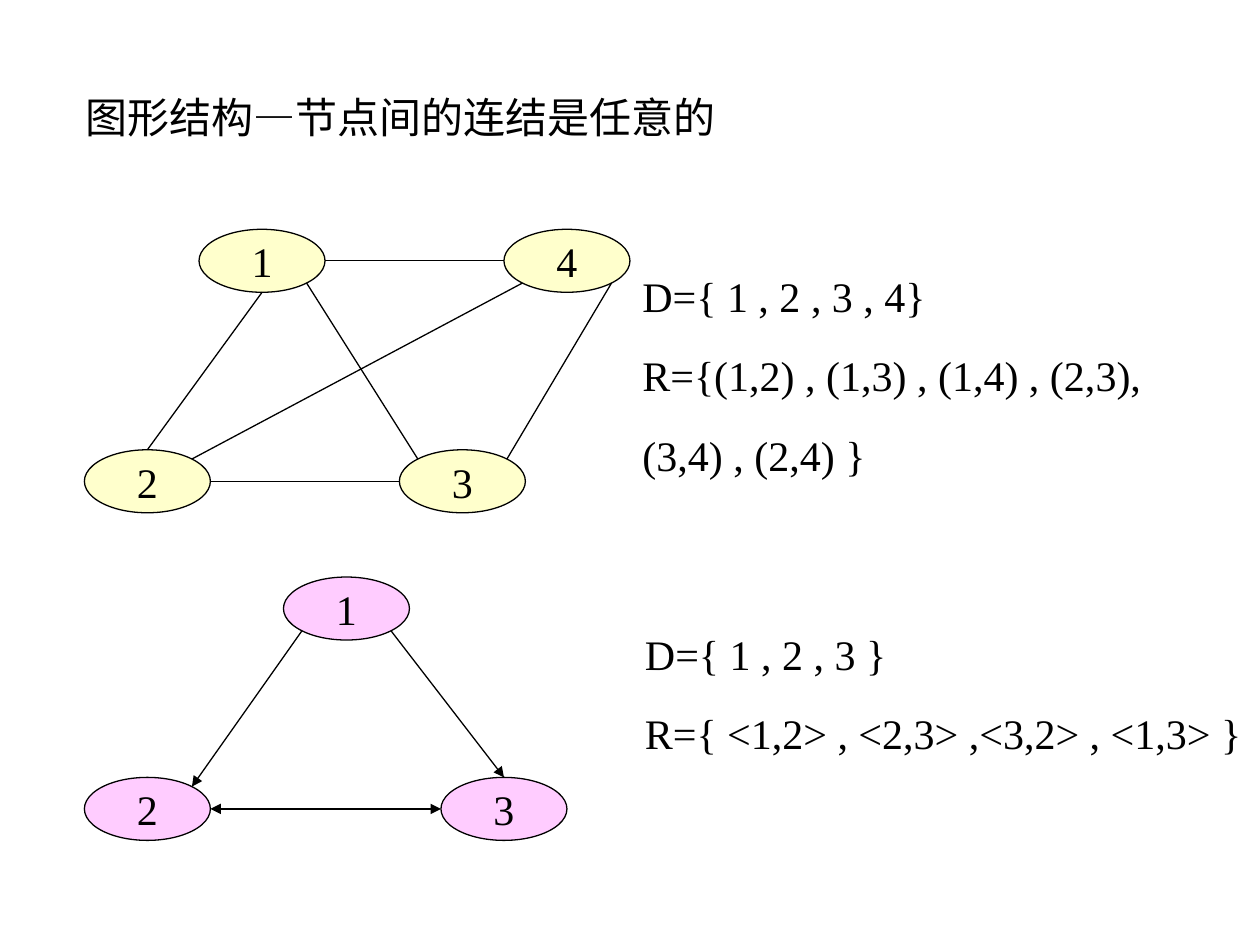
from dataclasses import dataclass
from math import sqrt

from lxml import etree
from pptx import Presentation
from pptx.dml.color import RGBColor
from pptx.enum.shapes import MSO_CONNECTOR, MSO_SHAPE
from pptx.enum.text import MSO_ANCHOR, PP_ALIGN
from pptx.oxml.ns import qn
from pptx.util import Inches, Pt


@dataclass(frozen=True)
class Theme:
    ink: RGBColor = RGBColor(0x00, 0x00, 0x00)
    undirected: RGBColor = RGBColor(0xFF, 0xFF, 0xCC)
    directed: RGBColor = RGBColor(0xFF, 0xCC, 0xFF)
    size: Pt = Pt(24)
    rule: Pt = Pt(0.75)
    title_font: str = "Arial"
    body_font: str = "Times New Roman"


THEME = Theme()
NODE_W, NODE_H = 1, 0.5
DIAGONAL = sqrt(0.5)

# Points on a node's outline, as factors of its half width and half height
SITES = {
    "top": (0, -1), "bottom": (0, 1), "left": (-1, 0), "right": (1, 0),
    "top left": (-DIAGONAL, -DIAGONAL), "top right": (DIAGONAL, -DIAGONAL),
    "bottom left": (-DIAGONAL, DIAGONAL), "bottom right": (DIAGONAL, DIAGONAL),
}


def style(paragraph, font_name):
    paragraph.font.name = font_name
    paragraph.font.size = THEME.size
    paragraph.font.color.rgb = THEME.ink


def outline_point(corner, site):
    (left, top), (dx, dy) = corner, SITES[site]
    return (Inches(left + NODE_W / 2 * (1 + dx)),
            Inches(top + NODE_H / 2 * (1 + dy)))


prs = Presentation()
prs.slide_width, prs.slide_height = Inches(10), Inches(7.5)
slide = prs.slides.add_slide(prs.slide_layouts[5])

# Title
title = slide.shapes.title
title.left, title.top = Inches(0.5), Inches(0.3)
title.width, title.height = Inches(9), Inches(1.25)
title.text_frame.text = "图形结构—节点间的连结是任意的"
title.text_frame.vertical_anchor = MSO_ANCHOR.MIDDLE
title.text_frame.margin_left = Inches(0.18)
heading = title.text_frame.paragraphs[0]
heading.alignment = PP_ALIGN.LEFT
style(heading, THEME.title_font)

# Each graph: fill, node corners, edges (node, site, node, site, arrow ends)
graphs = [
    (THEME.undirected,
     {"1": (1.58, 1.82), "4": (4, 1.82), "2": (0.67, 3.57), "3": (3.17, 3.57)},
     [("1", "right", "4", "left", ()),
      ("1", "bottom", "2", "top", ()),
      ("2", "right", "3", "left", ()),
      ("3", "top right", "4", "bottom right", ()),
      ("2", "top right", "4", "bottom left", ()),
      ("3", "top left", "1", "bottom right", ())]),
    (THEME.directed,
     {"2": (0.67, 6.17), "1": (2.25, 4.58), "3": (3.5, 6.17)},
     [("1", "bottom left", "2", "top right", ("tailEnd",)),
      ("1", "bottom right", "3", "top", ("tailEnd",)),
      ("2", "right", "3", "left", ("headEnd", "tailEnd"))]),
]

for fill, nodes, edges in graphs:
    graph = slide.shapes.add_group_shape()

    # Nodes
    for label, (left, top) in nodes.items():
        node = graph.shapes.add_shape(MSO_SHAPE.OVAL, Inches(left), Inches(top),
                                      Inches(NODE_W), Inches(NODE_H))
        node.shadow.inherit = False
        node.fill.solid()
        node.fill.fore_color.rgb = fill
        node.line.color.rgb = THEME.ink
        node.line.width = THEME.rule
        node.text_frame.text = label
        node.text_frame.word_wrap = False
        node.text_frame.vertical_anchor = MSO_ANCHOR.MIDDLE
        number = node.text_frame.paragraphs[0]
        number.alignment = PP_ALIGN.CENTER
        style(number, THEME.body_font)

    # Edges
    for start, start_site, end, end_site, arrows in edges:
        edge = graph.shapes.add_connector(
            MSO_CONNECTOR.STRAIGHT,
            *outline_point(nodes[start], start_site),
            *outline_point(nodes[end], end_site))
        edge.line.color.rgb = THEME.ink
        edge.line.width = THEME.rule
        for arrow in arrows:
            etree.SubElement(edge.line._get_or_add_ln(), qn(f"a:{arrow}"),
                             type="triangle")
        etree.SubElement(edge._element.spPr, qn("a:effectLst"))

# Set definitions beside each graph
definitions = [
    (5, 2.08, 4.38, 1.72, ["D={ 1 , 2 , 3 , 4}",
                           "R={(1,2) , (1,3) , (1,4) , (2,3),",
                           "(3,4) , (2,4) }"]),
    (5.02, 4.92, 4.98, 1.11, ["D={ 1 , 2 , 3 }",
                              "R={ <1,2> , <2,3> ,<3,2> , <1,3> }"]),
]
for left, top, width, height, lines in definitions:
    definition = slide.shapes.add_textbox(Inches(left), Inches(top),
                                          Inches(width), Inches(height)).text_frame
    definition.word_wrap = True
    definition.text = "\n".join(lines)
    for index, paragraph in enumerate(definition.paragraphs):
        paragraph.line_spacing = 1.05
        paragraph.space_before = Pt(15 if index else 0)
        style(paragraph, THEME.body_font)

prs.save("out.pptx")
